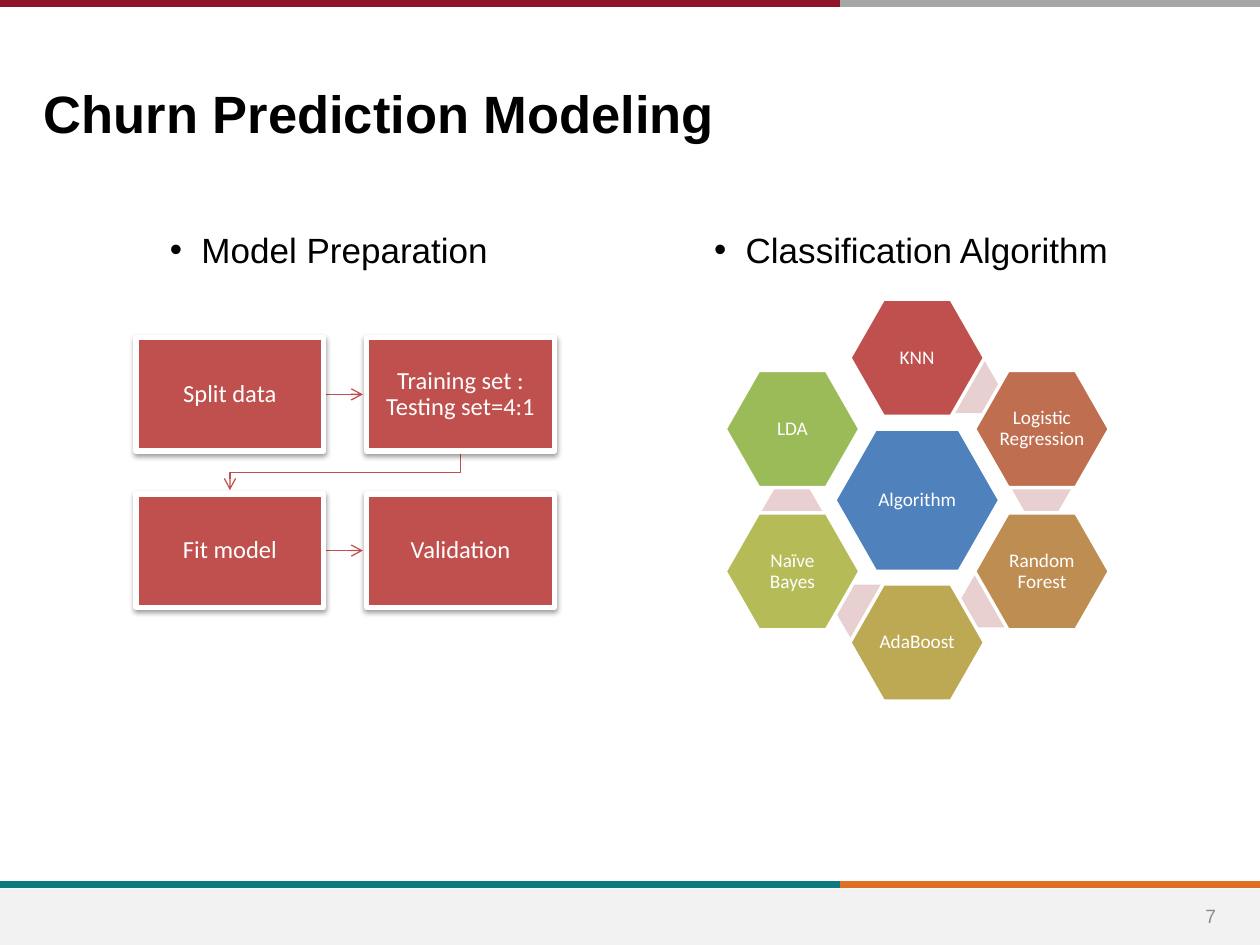
from lxml import etree
from pptx import Presentation
from pptx.dml.color import RGBColor
from pptx.enum import shapes, text
from pptx.oxml import parse_xml
from pptx.oxml.ns import nsdecls, qn
from pptx.util import Inches, Pt

BLACK = RGBColor(0x00, 0x00, 0x00)
WHITE = RGBColor(0xFF, 0xFF, 0xFF)
NUMBER_GRAY = RGBColor(0x8C, 0x8C, 0x8C)
FOOTER_GRAY = RGBColor(0xF2, 0xF2, 0xF2)
RULE_GRAY = RGBColor(0xA6, 0xA6, 0xA6)
CRIMSON = RGBColor(0x90, 0x15, 0x2A)
TEAL = RGBColor(0x0F, 0x78, 0x7D)
ORANGE = RGBColor(0xDF, 0x70, 0x23)
RED = RGBColor(0xC0, 0x50, 0x4D)
BLUE = RGBColor(0x4F, 0x81, 0xBD)
PALE_PINK = RGBColor(0xE8, 0xD0, 0xD0)

SPLIT_X = 6.67
BOX_WIDTH, BOX_HEIGHT = 1.49, 0.9
BOX_COLUMNS, BOX_ROWS = (1.08, 2.91), (2.68, 3.92)
STEPS = ("Split data", "Training set : Testing set=4:1", "Fit model", "Validation")

HUB_X, HUB_Y = 7.28, 3.97
RING_DX, RING_DY = 0.99, 0.565
# Name, colour, ring place in steps, top left of the link drawn behind it
ALGORITHMS = (
    ("KNN", RED, (0, -2), (7.44, 2.85)),
    ("Logistic Regression", RGBColor(0xBF, 0x6F, 0x4F), (1, -1), (8.02, 3.65)),
    ("Random Forest", RGBColor(0xBE, 0x8D, 0x52), (1, 1), (7.62, 4.55)),
    ("AdaBoost", RGBColor(0xBD, 0xA9, 0x54), (0, 2), (6.63, 4.64)),
    ("Naïve Bayes", RGBColor(0xB5, 0xBC, 0x57), (-1, 1), (6.04, 3.85)),
    ("LDA", RGBColor(0x9B, 0xBB, 0x59), (-1, -1), None),
)


def write(shape, words, size, font, color, align=text.PP_ALIGN.CENTER, bold=False,
          margins=(0.1, 0.05, 0.1, 0.05), anchor=text.MSO_ANCHOR.MIDDLE):
    frame = shape.text_frame
    frame.word_wrap = True
    frame.vertical_anchor = anchor
    (frame.margin_left, frame.margin_top,
     frame.margin_right, frame.margin_bottom) = map(Inches, margins)
    paragraph = frame.paragraphs[0]
    paragraph.alignment = align
    run = paragraph.add_run()
    run.text = words
    run.font.size, run.font.name, run.font.bold = Pt(size), font, bold
    run.font.color.rgb = color
    return paragraph


def add_text(slide, box, words, size, color, **options):
    shape = slide.shapes.add_textbox(*map(Inches, box))
    return write(shape, words, size, "Arial", color, **options)


def add_bullet(slide, box, words):
    paragraph = add_text(slide, box, words, 20, BLACK, align=text.PP_ALIGN.LEFT,
                         margins=(0.1, 0.4, 0.1, 0.05), anchor=text.MSO_ANCHOR.TOP)
    properties = paragraph._p.get_or_add_pPr()
    properties.set("marL", str(Inches(1.25)))
    properties.set("indent", str(Inches(-0.25)))
    etree.SubElement(properties, qn("a:buFont")).set("typeface", "Arial")
    etree.SubElement(properties, qn("a:buChar")).set("char", "•")


def add_shape(slide, kind, box, fill, line_width=0):
    shape = slide.shapes.add_shape(kind, *map(Inches, box))
    shape.shadow.inherit = False
    shape.fill.solid()
    shape.fill.fore_color.rgb = fill
    if line_width:
        shape.line.color.rgb = WHITE
        shape.line.width = Pt(line_width)
    else:
        shape.line.fill.background()
    return shape


def add_line(slide, start, end, color, width):
    line = slide.shapes.add_connector(shapes.MSO_CONNECTOR.STRAIGHT,
                                      *map(Inches, start + end))
    line.line.color.rgb = color
    line.line.width = Pt(width)
    etree.SubElement(line._element.spPr, qn("a:effectLst"))
    return line


def add_arrowhead(shape):
    etree.SubElement(shape.line._get_or_add_ln(), qn("a:tailEnd")).set("type", "arrow")


def add_step(slide, left, top, words):
    box = add_shape(slide, shapes.MSO_SHAPE.RECTANGLE,
                    (left, top, BOX_WIDTH, BOX_HEIGHT), RED, 3)
    box._element.spPr.find(qn("a:effectLst")).append(parse_xml(
        f'<a:outerShdw {nsdecls("a")} blurRad="{Pt(3.1)}" dist="{Pt(1.6)}" '
        'dir="5400000" rotWithShape="0"><a:srgbClr val="000000">'
        '<a:alpha val="38000"/></a:srgbClr></a:outerShdw>'))
    paragraph = write(box, words, 14, "Calibri", WHITE, margins=(0.11,) * 4)
    paragraph.line_spacing = 0.9
    return box


def add_hexagon(slide, box, fill, adjust, words=""):
    hexagon = add_shape(slide, shapes.MSO_SHAPE.HEXAGON, box, fill, 2 if words else 0)
    hexagon.adjustments[0] = adjust
    if words:
        paragraph = write(hexagon, words, 11, "Calibri", WHITE, margins=(0.01,) * 4)
        paragraph.line_spacing = 0.9


def add_centered_hexagon(slide, x, y, width, height, fill, words):
    add_hexagon(slide, (x - width / 2, y - height / 2, width, height), fill, 0.286, words)


def add_frame(slide):
    for y, left_color, right_color in ((7.02, TEAL, ORANGE), (0.03, CRIMSON, RULE_GRAY)):
        add_line(slide, (SPLIT_X, y), (10, y), right_color, 4)
        add_line(slide, (0, y), (SPLIT_X, y), left_color, 4)
    add_shape(slide, shapes.MSO_SHAPE.RECTANGLE, (0, 7.05, 10, 0.45), FOOTER_GRAY)
    add_text(slide, (9.35, 7.07, 0.52, 0.4), "7", 11, NUMBER_GRAY)


def add_preparation_flow(slide):
    # Arrows lie behind the boxes
    arrows = []
    for top in BOX_ROWS:
        y = top + BOX_HEIGHT / 2
        arrow = add_line(slide, (BOX_COLUMNS[0] + BOX_WIDTH, y), (2.88, y), RED, 0.75)
        add_arrowhead(arrow)
        arrows.append(arrow)

    # Bent arrow from the first row to the second
    left_x, right_x = (column + BOX_WIDTH / 2 for column in BOX_COLUMNS)
    builder = slide.shapes.build_freeform(Inches(right_x), Inches(3.58))
    builder.add_line_segments([(Inches(x), Inches(y)) for x, y in
                               ((right_x, 3.75), (left_x, 3.75), (left_x, 3.89))],
                              close=False)
    bend = builder.convert_to_shape()
    bend.shadow.inherit = False
    bend.fill.background()
    bend.line.color.rgb = RED
    bend.line.width = Pt(0.75)
    add_arrowhead(bend)

    places = [(left, top) for top in BOX_ROWS for left in BOX_COLUMNS]
    boxes = [add_step(slide, *place, words) for place, words in zip(places, STEPS)]
    for arrow, box in zip(arrows, boxes[::2]):
        arrow.begin_connect(box, 3)


def add_algorithm_ring(slide):
    add_centered_hexagon(slide, HUB_X, HUB_Y, 1.31, 1.13, BLUE, "Algorithm")
    for name, color, (column, row), link in ALGORITHMS:
        if link:
            add_hexagon(slide, link + (0.49, 0.43), PALE_PINK, 0.289)
        add_centered_hexagon(slide, HUB_X + column * RING_DX, HUB_Y + row * RING_DY,
                             1.07, 0.93, color, name)


def main():
    presentation = Presentation()
    presentation.slide_width, presentation.slide_height = Inches(10), Inches(7.5)
    slide = presentation.slides.add_slide(presentation.slide_layouts[6])

    add_frame(slide)
    add_text(slide, (0.25, 0.57, 7.99, 0.59), "Churn Prediction Modeling", 30, BLACK,
             align=text.PP_ALIGN.LEFT, bold=True, margins=(0.1, 0.08, 0.1, 0.02))
    add_bullet(slide, (0.25, 1.41, 4.99, 5.24), "Model Preparation")
    add_preparation_flow(slide)
    add_algorithm_ring(slide)
    add_bullet(slide, (4.57, 1.41, 4.66, 5.24), "Classification Algorithm")

    presentation.save("out.pptx")


if __name__ == "__main__":
    main()
